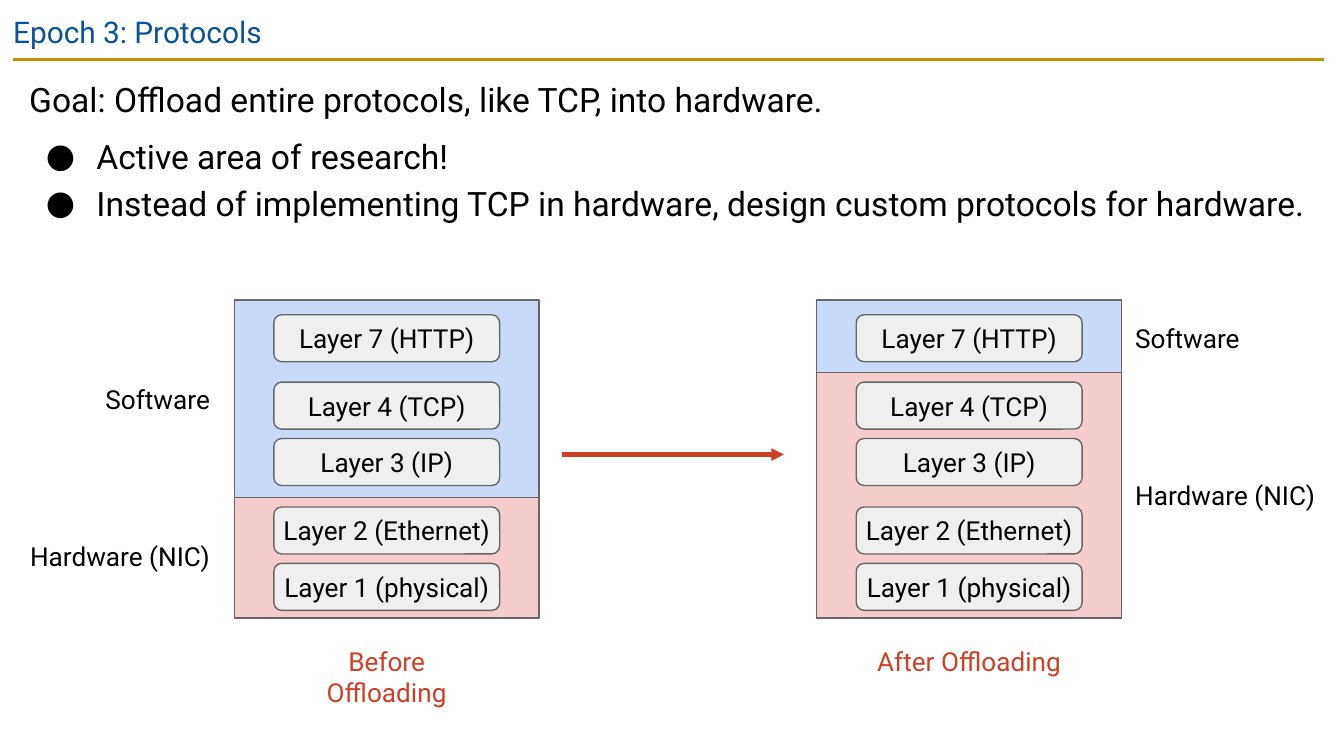
from dataclasses import dataclass

import pptx
import pptx.dml.color
import pptx.enum.shapes
import pptx.enum.text
import pptx.oxml
import pptx.oxml.ns
import pptx.util
from pptx.util import Pt

ALIGN = pptx.enum.text.PP_ALIGN
ANCHOR = pptx.enum.text.MSO_ANCHOR
SHAPE = pptx.enum.shapes.MSO_SHAPE


@dataclass(frozen=True)
class Theme:
    font: str = "Roboto"
    title_size: int = 16
    body_size: int = 18
    label_size: int = 14
    ink: str = "000000"
    title: str = "0B5394"
    rule: str = "BF9000"
    accent: str = "CC4125"
    software: str = "C9DAF8"
    hardware: str = "F4CCCC"
    layer: str = "EFEFEF"
    outline: str = "666666"


THEME = Theme()

# Layer name and its top inside the stack
LAYERS = [
    ("Layer 7 (HTTP)", 7.9),
    ("Layer 4 (TCP)", 44),
    ("Layer 3 (IP)", 74.2),
    ("Layer 2 (Ethernet)", 110.9),
    ("Layer 1 (physical)", 141.1),
]
LAYER_WIDTH, LAYER_HEIGHT = 121, 25.2
LABEL_WIDTHS = {"Software": 65.5, "Hardware (NIC)": 102.2}
LABEL_HEIGHT = 21.6


def rgb(value):
    return pptx.dml.color.RGBColor.from_string(value)


def write(para, text, *, size=THEME.label_size, color=THEME.ink,
          align=ALIGN.LEFT, spacing=None, before=None):
    para.alignment = align
    if spacing:
        para.line_spacing = spacing
    if before:
        para.space_before = Pt(before)
    span = para.add_run()
    span.text = text
    span.font.name = THEME.font
    span.font.size = Pt(size)
    span.font.color.rgb = rgb(color)


def set_frame(frame, inset, anchor=ANCHOR.TOP):
    frame.word_wrap = True
    frame.vertical_anchor = anchor
    frame.margin_left = frame.margin_right = Pt(inset)
    frame.margin_top = frame.margin_bottom = Pt(inset)


def add_text_box(page, box, inset=2.2):
    frame = page.shapes.add_textbox(*map(Pt, box)).text_frame
    set_frame(frame, inset)
    return frame


def add_label(page, box, text, **form):
    frame = add_text_box(page, box)
    frame.auto_size = pptx.enum.text.MSO_AUTO_SIZE.SHAPE_TO_FIT_TEXT
    write(frame.paragraphs[0], text, **form)


def add_block(page, box, fill, corner=0):
    block = page.shapes.add_shape(SHAPE.ROUNDED_RECTANGLE, *map(Pt, box))
    block.adjustments[0] = corner
    block.shadow.inherit = False
    block.fill.solid()
    block.fill.fore_color.rgb = rgb(fill)
    block.line.color.rgb = rgb(THEME.outline)
    block.line.width = Pt(0.75)
    return block


def add_line(page, start, end, color, width, arrow=False):
    line = page.shapes.add_connector(
        pptx.enum.shapes.MSO_CONNECTOR.STRAIGHT, *map(Pt, start + end))
    line.line.color.rgb = rgb(color)
    line.line.width = Pt(width)
    if arrow:
        pptx.oxml.ns.qn("a:tailEnd")
        stroke = line.line._get_or_add_ln()
        stroke.append(pptx.oxml.parse_xml(
            f'<a:tailEnd {pptx.oxml.ns.nsdecls("a")} type="triangle"/>'))
    properties = line._element.spPr
    properties.append(pptx.oxml.parse_xml(
        f'<a:effectLst {pptx.oxml.ns.nsdecls("a")}/>'))


def add_bullet(para):
    properties = para._p.get_or_add_pPr()
    properties.set("marL", str(Pt(36)))
    properties.set("indent", str(Pt(-27)))
    names = pptx.oxml.ns.nsdecls("a")
    for item in (
        f'<a:buClr {names}><a:srgbClr val="{THEME.ink}"/></a:buClr>',
        f'<a:buFont {names} typeface="{THEME.font}"/>',
        f'<a:buChar {names} char="●"/>',
    ):
        properties.append(pptx.oxml.parse_xml(item))


def add_heading(page, box, text):
    left, top, width, height = box
    frame = add_text_box(page, box, inset=7.2)
    write(frame.paragraphs[0], text, size=THEME.title_size, color=THEME.title)
    bottom = top + height + 0.8
    add_line(page, (left + 7.2, bottom), (left + width - 10.8, bottom),
             THEME.rule, 1.5)


def add_body(page, box, goal, bullets):
    frame = add_text_box(page, box, inset=7.2)
    form = {"size": THEME.body_size, "spacing": 1.15}
    write(frame.paragraphs[0], goal, **form)
    for index, text in enumerate(bullets):
        para = frame.add_paragraph()
        add_bullet(para)
        write(para, text, before=0 if index else 6, **form)


def add_stack(page, box, caption, split, label_middles, labels_left):
    """Draw the layers over a software and a hardware band divided at split."""
    left, top, width, height = box
    bands = [
        ("Software", THEME.software, 0, split),
        ("Hardware (NIC)", THEME.hardware, split, height),
    ]
    for (name, fill, start, end), middle in zip(bands, label_middles):
        add_block(page, (left, top + start, width, end - start), fill)
        label_width = LABEL_WIDTHS[name]
        label_left = left - 10.8 - label_width if labels_left else left + width + 5
        add_label(page, (label_left, top + middle - LABEL_HEIGHT / 2,
                         label_width, LABEL_HEIGHT), name,
                  align=ALIGN.RIGHT if labels_left else ALIGN.LEFT)

    layer_left = left + (width - LAYER_WIDTH) / 2
    for name, offset in LAYERS:
        layer = add_block(page, (layer_left, top + offset, LAYER_WIDTH,
                                 LAYER_HEIGHT), THEME.layer, corner=0.167)
        set_frame(layer.text_frame, 2.2, ANCHOR.MIDDLE)
        write(layer.text_frame.paragraphs[0], name, align=ALIGN.CENTER)

    caption_width = 113
    add_label(page, (left + (width - caption_width) / 2, top + height + 12.2,
                     caption_width, LABEL_HEIGHT), caption,
              color=THEME.accent, align=ALIGN.CENTER)


def main():
    deck = pptx.Presentation()
    deck.slide_width, deck.slide_height = Pt(720), Pt(405)
    page = deck.slides.add_slide(deck.slide_layouts[6])

    add_heading(page, (0, 0, 720, 31), "Epoch 3: Protocols")
    add_body(page, (8.6, 31.8, 701.4, 124.6),
             "Goal: Offload entire protocols, like TCP, into hardware.",
             ["Active area of research!",
              "Instead of implementing TCP in hardware, "
              "design custom protocols for hardware."])
    add_stack(page, (125.5, 160.7, 163.4, 170.5), "Before Offloading",
              split=105.8, label_middles=(53.2, 137.4), labels_left=True)
    add_stack(page, (437.5, 160.7, 163.4, 170.5), "After Offloading",
              split=38.8, label_middles=(20.7, 105), labels_left=False)
    add_line(page, (301, 243.5), (420, 243.5), THEME.accent, 2.25, arrow=True)

    deck.save("out.pptx")


if __name__ == "__main__":
    main()
